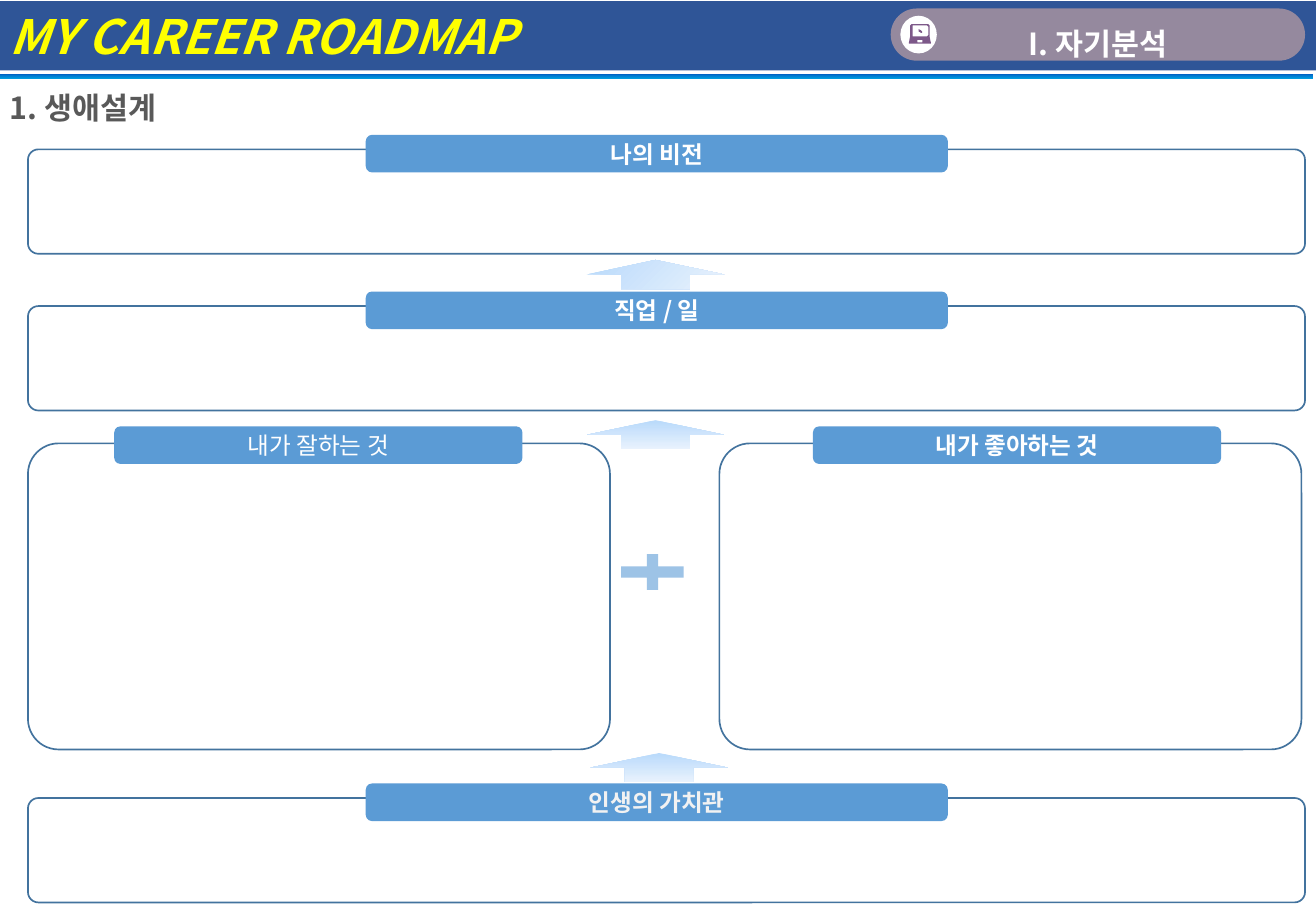
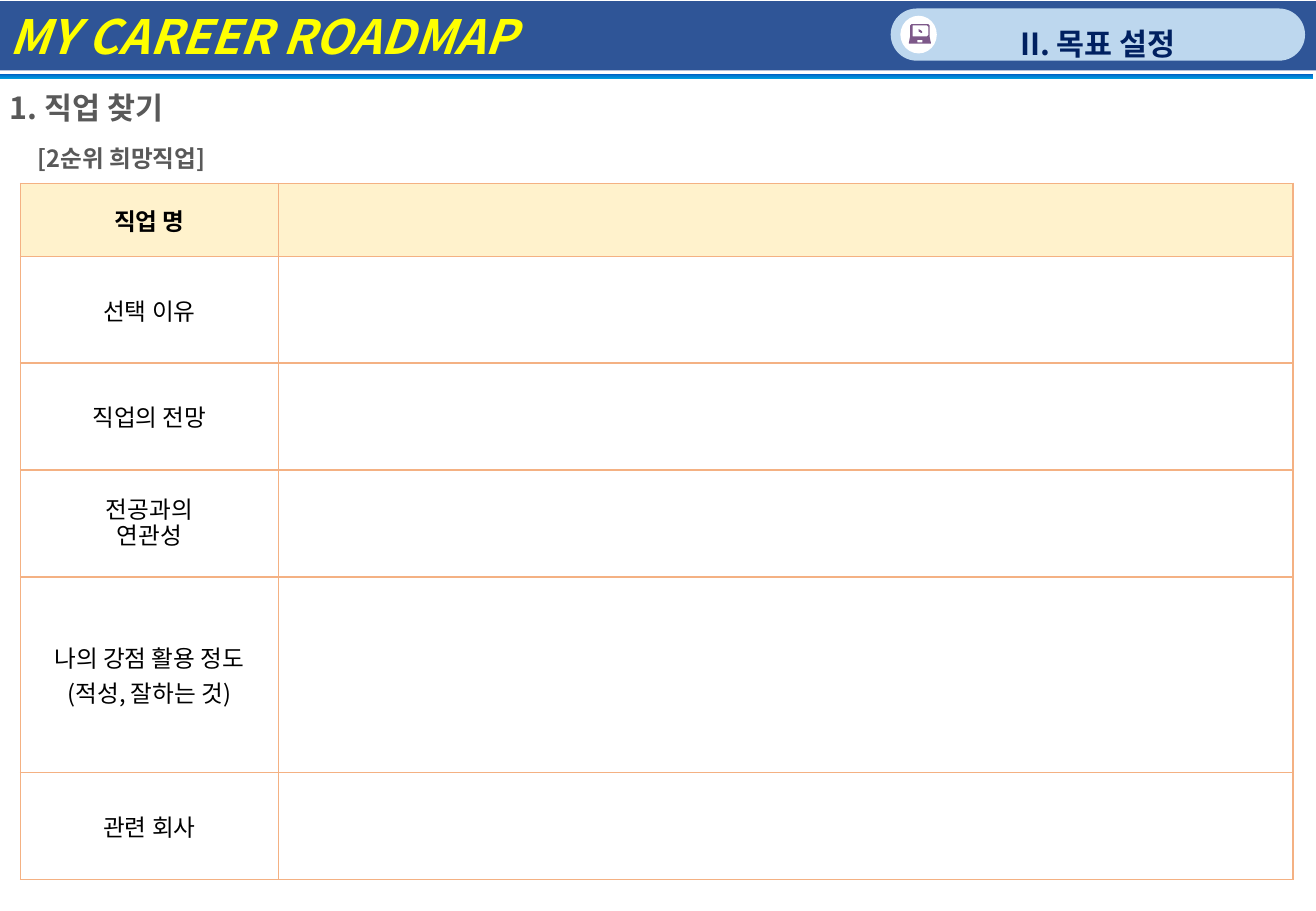
from lxml.etree import SubElement
from pptx import Presentation
from pptx.dml.color import RGBColor
from pptx.enum.shapes import MSO_SHAPE
from pptx.enum.text import MSO_ANCHOR, PP_ALIGN
from pptx.oxml import parse_xml
from pptx.oxml.ns import nsdecls, qn
from pptx.util import Inches, Pt

SLIDE_W, SLIDE_H = 10.83, 7.5
FONT = "Noto Sans CJK KR"
WHITE, NAVY, YELLOW, GREY = "FFFFFF", "2F5597", "FFFF00", "595959"
TAB_BLUE, PANEL_LINE, PLUS_BLUE = "5B9BD5", "43739E", "9DC3E6"
ICON_PURPLE, TABLE_LINE, HEAD_CREAM = "7D5889", "F4B183", "FFF2CC"
ARROW_BLUES, RULE_BLUES = ("B9DAFB", "E9F2FD"), ("009FE1", "0163C5")
HEADING_EDGE, CELL_EDGE = ("262626", 16), ("0070C0", 24)

# Laptop icon, in hundredths of an inch
LAPTOP = [
    [(2, 0), (16, 0), (17, 1), (17, 10), (18, 15), (18, 16),
     (0, 16), (0, 15), (1, 10), (1, 1)],
    [(3, 1), (15, 1), (16, 2), (16, 9), (15, 10), (3, 10)],
    [(7, 13), (11, 13), (11, 15), (7, 15)],
]
POINTER = [[(8, 4), (10, 5), (11, 6), (11, 7), (10, 7), (8, 6)]]


def rgb(value):
    return RGBColor.from_string(value)


def inches(box):
    return [Inches(length) for length in box]


def paint(shape, fill, line=None, angle=0):
    """Fill with one colour, or with a pair of colours at a clockwise angle."""
    shape.shadow.inherit = False
    if isinstance(fill, tuple):
        shape.fill.gradient()
        shape.fill.gradient_angle = 360 - angle
        for stop, colour in zip(shape.fill.gradient_stops, fill):
            stop.color.rgb = rgb(colour)
    else:
        shape.fill.solid()
        shape.fill.fore_color.rgb = rgb(fill)
    if line:
        shape.line.color.rgb = rgb(line)
        shape.line.width = Pt(1)
    else:
        shape.line.fill.background()


def add_block(slide, kind, box, fill, line=None, angle=0, corner=None):
    block = slide.shapes.add_shape(kind, *inches(box))
    if corner is not None:
        block.adjustments[0] = corner
    paint(block, fill, line, angle)
    return block


def write(frame, text, size, colour, bold=True, italic=False,
          align=PP_ALIGN.CENTER, spacing=1.0, edge=None, font=FONT):
    frame.text = text
    for paragraph in frame.paragraphs:
        paragraph.alignment = align
        paragraph.line_spacing = spacing
        for run in paragraph.runs:
            run.font.size = Pt(size)
            run.font.bold = bold
            run.font.italic = italic
            run.font.color.rgb = rgb(colour)
            run.font.name = font
            properties = run.font._element
            SubElement(properties, qn("a:ea")).set("typeface", font)
            if edge:
                properties.insert(0, parse_xml(
                    f'<a:ln w="9525" {nsdecls("a")}><a:solidFill>'
                    f'<a:srgbClr val="{edge[0]}"><a:alpha val="{edge[1]}000"/>'
                    '</a:srgbClr></a:solidFill></a:ln>'))


def write_line(shape, text, size, colour, **style):
    """One line of text, centred vertically in its shape."""
    frame = shape.text_frame
    frame.word_wrap = True
    frame.vertical_anchor = MSO_ANCHOR.MIDDLE
    frame.margin_top = frame.margin_bottom = 0
    write(frame, text, size, colour, **style)


def add_icon_part(slide, left, top, contours):
    (first, *rest), *holes = contours
    builder = slide.shapes.build_freeform(*first, scale=Inches(0.01))
    builder.add_line_segments(rest, close=True)
    for start, *points in holes:
        builder.move_to(*start)
        builder.add_line_segments(points, close=True)
    paint(builder.convert_to_shape(Inches(left), Inches(top)), ICON_PURPLE)


def add_section_badge(slide, box, section, fill, colour):
    left, top, _, _ = box
    pill = add_block(slide, MSO_SHAPE.ROUNDED_RECTANGLE, box, fill, corner=0.5)
    write_line(pill, section, 18, colour, spacing=1.5)
    add_block(slide, MSO_SHAPE.OVAL, (left + 0.08, top + 0.06, 0.3, 0.31), WHITE)
    for contours in (LAPTOP, POINTER):
        add_icon_part(slide, left + 0.15, top + 0.13, contours)


def add_roadmap_slide(deck, heading, section, badge_fill, badge_colour):
    """Title-only slide with the shared band, rule, badge and heading."""
    slide = deck.slides.add_slide(deck.slide_layouts[5])
    band = add_block(slide, MSO_SHAPE.RECTANGLE, (-0.02, 0.01, SLIDE_W + 0.03, 0.57), NAVY)
    write_line(band, "MY CAREER ROADMAP", 28, YELLOW, italic=True, align=PP_ALIGN.LEFT)
    add_block(slide, MSO_SHAPE.RECTANGLE, (-0.02, 0.61, SLIDE_W, 0.04), RULE_BLUES, angle=270)
    add_section_badge(slide, (7.33, 0.07, 3.41, 0.43), section, badge_fill, badge_colour)
    title = slide.shapes.title
    title.left, title.top, title.width, title.height = inches((-0.02, 0.68, 5.74, 0.4))
    write_line(title, heading, 18, GREY, align=PP_ALIGN.LEFT, edge=HEADING_EDGE)
    return slide


def add_panel(slide, box, label, tab, colour=WHITE, bold=True):
    """Empty panel with a label tab: (offset, rise, width) from its corner."""
    left, top, _, _ = box
    offset, rise, width = tab
    add_block(slide, MSO_SHAPE.ROUNDED_RECTANGLE, box, WHITE, PANEL_LINE, corner=0.1)
    label_tab = add_block(slide, MSO_SHAPE.ROUNDED_RECTANGLE,
                          (left + offset, top - rise, width, 0.31), TAB_BLUE)
    write_line(label_tab, label, 14, colour, bold=bold)


def add_life_plan(slide):
    left, width, half = 0.23, 10.51, 4.79
    # Full-width panels
    for top, label, colour in ((1.23, "나의 비전", WHITE), (2.52, "직업 / 일", WHITE),
                               (6.57, "인생의 가치관", "F2F2F2")):
        add_panel(slide, (left, top, width, 0.86), label, (2.78, 0.12, half), colour)
    # Strengths and likes side by side
    for start, label, offset, bold in ((left, "내가 잘하는 것", 0.71, False),
                                       (5.92, "내가 좋아하는 것", 0.77, True)):
        add_panel(slide, (start, 3.65, half, 2.52), label, (offset, 0.14, 3.36), bold=bold)
    add_block(slide, MSO_SHAPE.MATH_PLUS, (left + half, 4.51, 0.7, 0.4), PLUS_BLUE)
    # Arrows leading up to the vision
    for start, top, angle in ((4.83, 2.14, 45), (4.83, 3.46, 90), (4.86, 6.2, 90)):
        add_block(slide, MSO_SHAPE.UP_ARROW, (start, top, 1.13, 0.24), ARROW_BLUES, angle=angle)


def add_borders(cell):
    properties = cell._tc.get_or_add_tcPr()
    for index, side in enumerate(("lnL", "lnR", "lnT", "lnB")):
        properties.insert(index, parse_xml(
            f'<a:{side} w="12700" {nsdecls("a")}><a:solidFill>'
            f'<a:srgbClr val="{TABLE_LINE}"/></a:solidFill></a:{side}>'))


def add_job_table(slide, left, top, columns, rows):
    heights = [height for _, height in rows]
    table = slide.shapes.add_table(len(rows), len(columns), *inches(
        (left, top, sum(columns), sum(heights)))).table
    for column, width in zip(table.columns, columns):
        column.width = Inches(width)
    for number, (label, height) in enumerate(rows):
        table.rows[number].height = Inches(height)
        for cell in table.rows[number].cells:
            if number == 0:
                cell.fill.solid()
                cell.fill.fore_color.rgb = rgb(HEAD_CREAM)
            else:
                cell.fill.background()
            add_borders(cell)
        question = table.cell(number, 0)
        question.vertical_anchor = MSO_ANCHOR.MIDDLE
        question.margin_left = question.margin_right = Inches(0.14)
        question.margin_top = question.margin_bottom = Inches(0.04)
        write(question.text_frame, label, 14, "000000", bold=number == 0, edge=CELL_EDGE,
              font="Arial" if label.startswith("전공") else FONT)


deck = Presentation()
deck.slide_width, deck.slide_height = inches((SLIDE_W, SLIDE_H))

# Life plan
life_plan = add_roadmap_slide(deck, "1. 생애설계", "I. 자기분석", "95899E", WHITE)
add_life_plan(life_plan)

# Job search
job_search = add_roadmap_slide(deck, "1. 직업 찾기", "II. 목표 설정", "BDD7EE", "002060")
choice = job_search.shapes.add_textbox(*inches((0.21, 1.13, 4.08, 0.34)))
write_line(choice, "[2순위 희망직업]", 14, GREY, align=PP_ALIGN.LEFT, edge=HEADING_EDGE)
add_job_table(job_search, 0.17, 1.51, (2.12, 8.35), (
    ("직업 명", 0.6),
    ("선택 이유", 0.88),
    ("직업의 전망", 0.88),
    ("전공과의\n연관성", 0.88),
    ("나의 강점 활용 정도\n(적성, 잘하는 것)", 1.61),
    ("관련 회사", 0.88),
))

deck.save("out.pptx")
